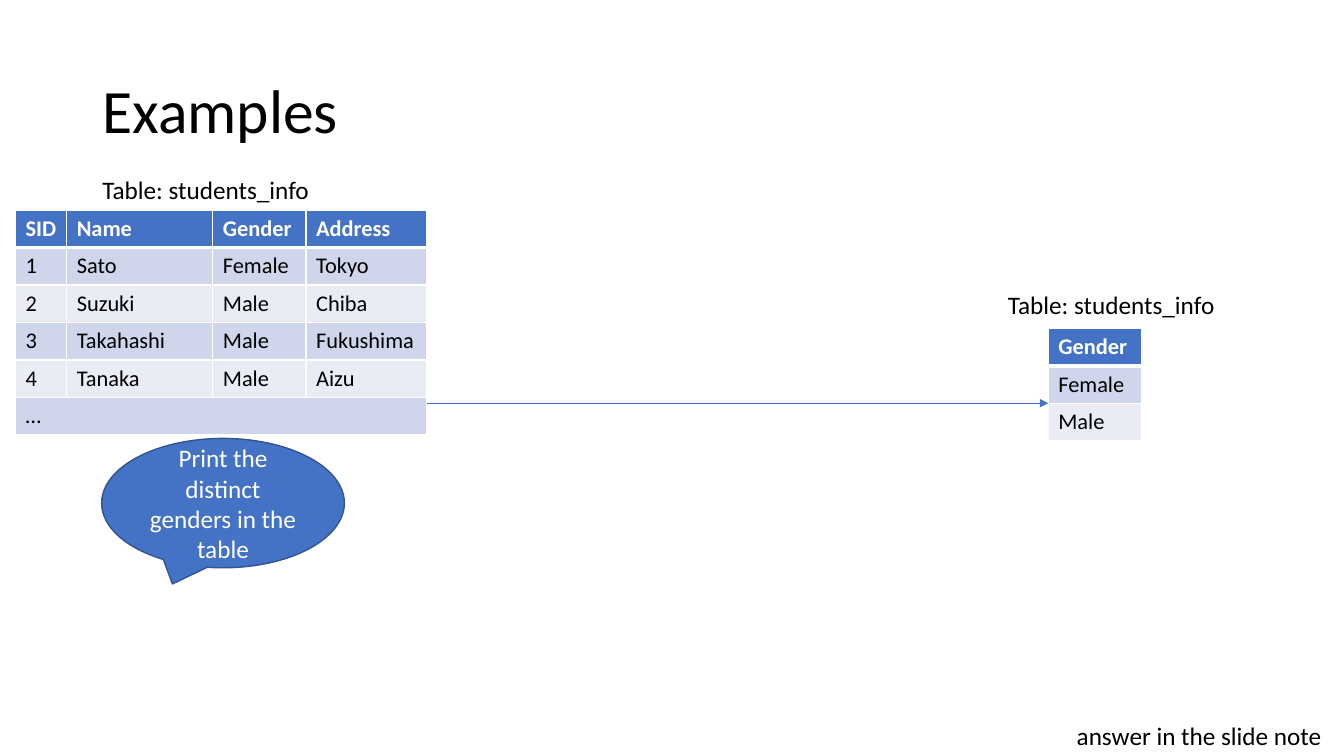
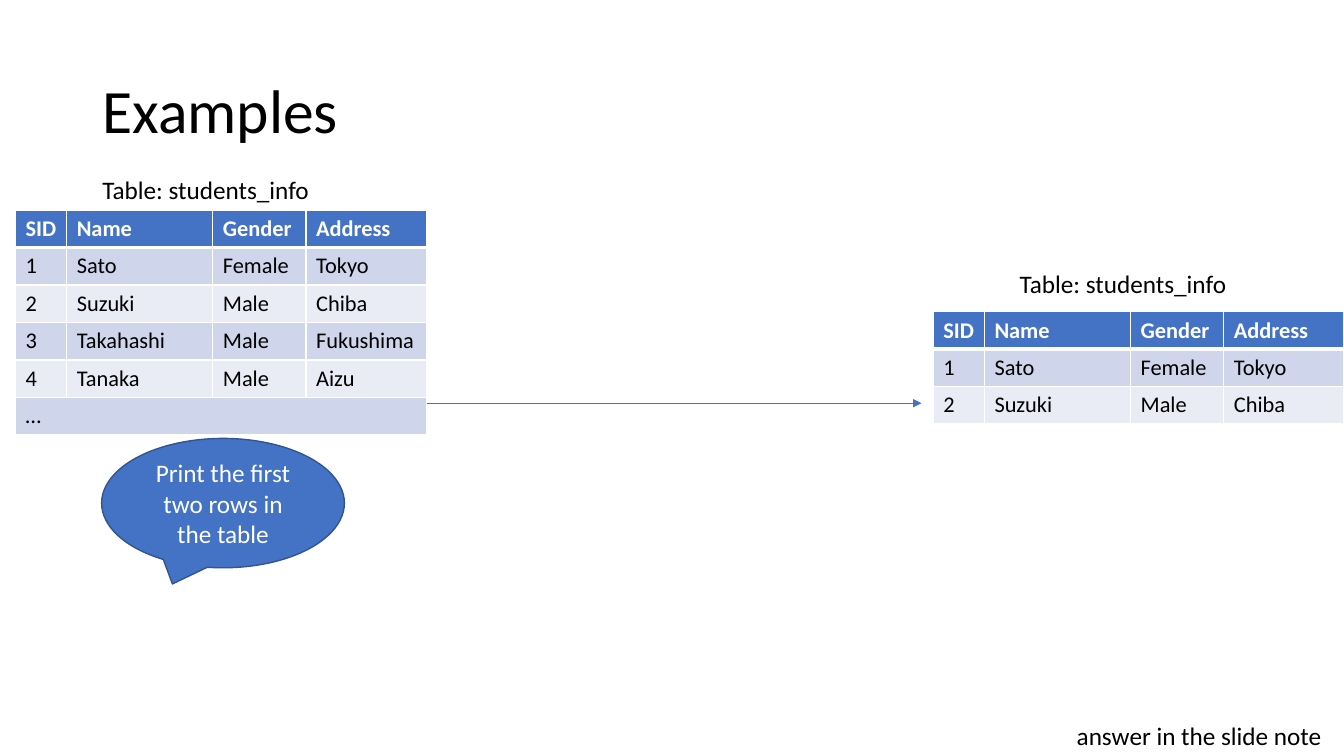
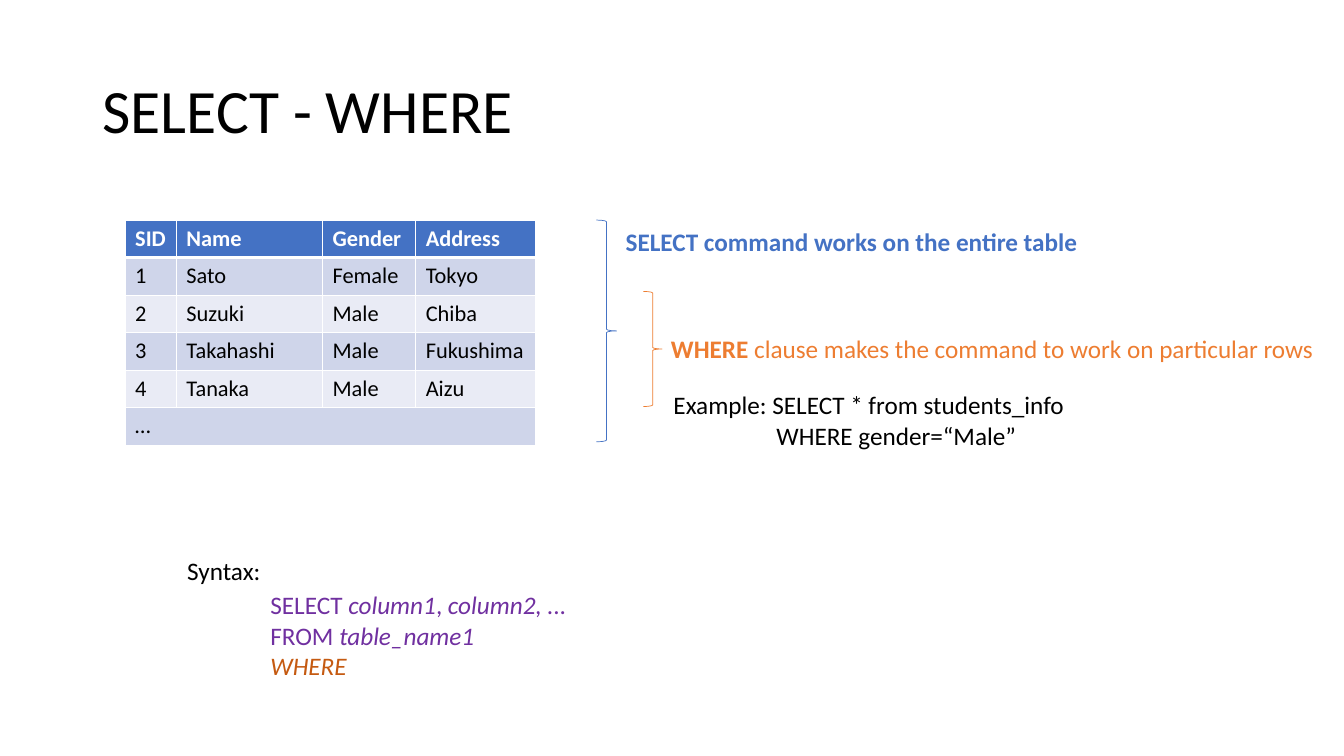
from dataclasses import dataclass

from lxml.etree import SubElement
from pptx import Presentation
from pptx.dml.color import RGBColor
from pptx.enum.shapes import MSO_CONNECTOR, MSO_SHAPE
from pptx.enum.text import MSO_ANCHOR, MSO_AUTO_SIZE, PP_ALIGN
from pptx.oxml.ns import qn
from pptx.util import Inches, Pt


@dataclass(frozen=True)
class Theme:
    font: str = "Calibri"
    title_size: int = 44
    body_size: int = 18
    table_size: int = 16
    thin: float = 0.5
    ink: str = "000000"
    paper: str = "FFFFFF"
    blue: str = "4472C4"
    outline: str = "325491"
    bands: tuple = ("CFD5EA", "E9EBF5")
    orange: str = "ED7D31"
    rust: str = "C55A11"
    purple: str = "7030A0"


THEME = Theme()

# The slide is a grid of 160 columns by 90 rows
COLUMNS, ROWS = 160, 90
WIDTH, HEIGHT = Inches(13.33), Inches(7.5)
TITLE_ONLY = 5
LINE_HEIGHT = 4.45

# Content shared by the slides
HEADER = ("SID", "Name", "Gender", "Address")
STUDENTS = (
    ("1", "Sato", "Female", "Tokyo"),
    ("2", "Suzuki", "Male", "Chiba"),
    ("3", "Takahashi", "Male", "Fukushima"),
    ("4", "Tanaka", "Male", "Aizu"),
)
STUDENT_TABLE = (HEADER, *STUDENTS, ("…",))
FIELD_WIDTHS = (6.1, 17.4, 11.1, 14.3)
CAPTION = "Table: students_info"
CAPTION_WIDTH = 27.4


def across(columns):
    return round(WIDTH * columns / COLUMNS)


def down(rows):
    return round(HEIGHT * rows / ROWS)


def box(left, top, width, height):
    return across(left), down(top), across(width), down(height)


def rgb(colour):
    return RGBColor.from_string(colour)


class Deck:
    """Holds the presentation, its theme and the current slide."""

    def __init__(self, theme):
        self.theme = theme
        self.deck = Presentation()
        self.deck.slide_width, self.deck.slide_height = WIDTH, HEIGHT
        self.slide = None

    def style(self, paragraph, size, colour, bold=False):
        font = paragraph.font
        font.name, font.size, font.bold = self.theme.font, Pt(size), bold
        font.color.rgb = rgb(colour)

    def add_slide(self, heading):
        self.slide = self.deck.slides.add_slide(self.deck.slide_layouts[TITLE_ONLY])
        title = self.slide.shapes.title
        title.left, title.top, title.width, title.height = box(11, 4.8, 138, 17.4)
        title.text_frame.text = heading
        title.text_frame.vertical_anchor = MSO_ANCHOR.MIDDLE
        paragraph = title.text_frame.paragraphs[0]
        paragraph.alignment, paragraph.line_spacing = PP_ALIGN.LEFT, 0.9
        self.style(paragraph, self.theme.title_size, self.theme.ink)

    def text(self, left, top, width, *lines, colour=None, bold=False, wrap=False):
        """Each line is a string or a list of (text, font settings) pairs."""
        label = self.slide.shapes.add_textbox(*box(left, top, width, 4.8))
        frame = label.text_frame
        frame.word_wrap, frame.auto_size = wrap, MSO_AUTO_SIZE.SHAPE_TO_FIT_TEXT
        for index, line in enumerate(lines):
            paragraph = frame.add_paragraph() if index else frame.paragraphs[0]
            self.style(paragraph, self.theme.body_size, colour or self.theme.ink, bold)
            for words, settings in [(line, {})] if isinstance(line, str) else line:
                run = paragraph.add_run()
                run.text = words
                for name, value in settings.items():
                    setattr(run.font, name, value)
        return frame.paragraphs

    def borders(self, cell, row):
        properties = cell._tc.get_or_add_tcPr()
        heavy = {0: "lnB", 1: "lnT"}.get(row)
        for side in ("lnL", "lnR", "lnT", "lnB"):
            edge = SubElement(properties, qn(f"a:{side}"), w=str(Pt(3 if side == heavy else 1)))
            SubElement(SubElement(edge, qn("a:solidFill")), qn("a:srgbClr"), val=self.theme.paper)

    def table(self, left, top, records, widths):
        """A record of one value spans all columns."""
        frame = self.slide.shapes.add_table(
            len(records), len(widths),
            *box(left, top, sum(widths), LINE_HEIGHT * len(records)))
        table = frame.table
        for column, width in zip(table.columns, widths):
            column.width = across(width)
        for row, record in enumerate(records):
            table.rows[row].height = down(LINE_HEIGHT)
            if len(record) < len(widths):
                table.cell(row, 0).merge(table.cell(row, len(widths) - 1))
            colour = self.theme.bands[(row - 1) % 2] if row else self.theme.blue
            for column in range(len(widths)):
                cell = table.cell(row, column)
                self.borders(cell, row)
                cell.fill.solid()
                cell.fill.fore_color.rgb = rgb(colour)
                if column < len(record):
                    cell.text = record[column]
                    self.style(cell.text_frame.paragraphs[0], self.theme.table_size,
                               self.theme.ink if row else self.theme.paper, bold=not row)

    def callout(self, left, top, width, height, words):
        bubble = self.slide.shapes.add_shape(
            MSO_SHAPE.OVAL_CALLOUT, *box(left, top, width, height))
        bubble.shadow.inherit = False
        bubble.fill.solid()
        bubble.fill.fore_color.rgb = rgb(self.theme.blue)
        bubble.line.color.rgb, bubble.line.width = rgb(self.theme.outline), Pt(1)
        bubble.text_frame.text = words
        bubble.text_frame.vertical_anchor = MSO_ANCHOR.MIDDLE
        paragraph = bubble.text_frame.paragraphs[0]
        paragraph.alignment = PP_ALIGN.CENTER
        self.style(paragraph, self.theme.body_size, self.theme.paper)

    def brace(self, left, top, width, height, colour):
        brace = self.slide.shapes.add_shape(
            MSO_SHAPE.RIGHT_BRACE, *box(left, top, width, height))
        brace.shadow.inherit = False
        brace.fill.background()
        brace.line.color.rgb, brace.line.width = rgb(colour), Pt(self.theme.thin)

    def arrow(self, start, end, level):
        arrow = self.slide.shapes.add_connector(
            MSO_CONNECTOR.STRAIGHT, across(start), down(level), across(end), down(level))
        arrow.line.color.rgb, arrow.line.width = rgb(self.theme.blue), Pt(self.theme.thin)
        properties = arrow._element.spPr
        SubElement(properties.find(qn("a:ln")), qn("a:tailEnd"), type="triangle")
        SubElement(properties, qn("a:effectLst"))

    def example(self, task, arrow_end, caption_at, result_at, result, widths):
        """A query on the student table, with its result on the right."""
        self.add_slide("Examples")
        self.table(1.85, 25, STUDENT_TABLE, FIELD_WIDTHS)
        self.text(11, 20.2, CAPTION_WIDTH, CAPTION)
        self.callout(12.1, 52.2, 28.9, 15.4, task)
        self.arrow(50.8, arrow_end, 48)
        self.text(*caption_at, CAPTION_WIDTH, CAPTION)
        self.table(*result_at, result, widths)
        self.text(127, 85.2, 33.1, "answer in the slide note")


def main():
    deck = Deck(THEME)

    # Distinct values
    deck.example("Print the distinct genders in the table", 124.8, (118.8, 33.8),
                 (124.8, 39.1), (("Gender",), ("Female",), ("Male",)), FIELD_WIDTHS[2:3])

    # First rows
    deck.example("Print the first two rows in the table", 109.7, (120.2, 31.4),
                 (111.1, 37.1), (HEADER, *STUDENTS[:2]), FIELD_WIDTHS)

    # SELECT and WHERE: what each part works on
    deck.add_slide("SELECT - WHERE")
    deck.table(14.9, 26.2, STUDENT_TABLE, FIELD_WIDTHS)
    deck.brace(71, 26.2, 2.4, 26.4, THEME.blue)
    deck.text(73.3, 26.4, 56.6, "SELECT command works on the entire table",
              colour=THEME.blue, bold=True)
    deck.brace(76.6, 34.7, 2.2, 13.7, THEME.orange)
    deck.text(78.7, 39.1, 79.6,
              [("WHERE", {"bold": True}),
               (" clause makes the command to work on particular rows", {})],
              colour=THEME.orange)
    query = deck.text(79, 45.8, 49.4, "Example: SELECT * from students_info",
                      "WHERE gender=“Male”", wrap=True)
    query[1]._p.get_or_add_pPr().set("marL", str(across(12.26)))

    # Syntax
    italic = {"italic": True}
    deck.text(21.1, 65.5, 11.3, "Syntax:")
    syntax = deck.text(31, 69.6, 80,
                       [("SELECT ", {}), ("column1", italic), (",", {}),
                        (" column2, ...", italic)],
                       [("FROM ", {}), ("table_name1", italic)],
                       [("WHERE", italic)],
                       colour=THEME.purple, wrap=True)
    syntax[2].font.color.rgb = rgb(THEME.rust)

    deck.deck.save("out.pptx")


if __name__ == "__main__":
    main()
